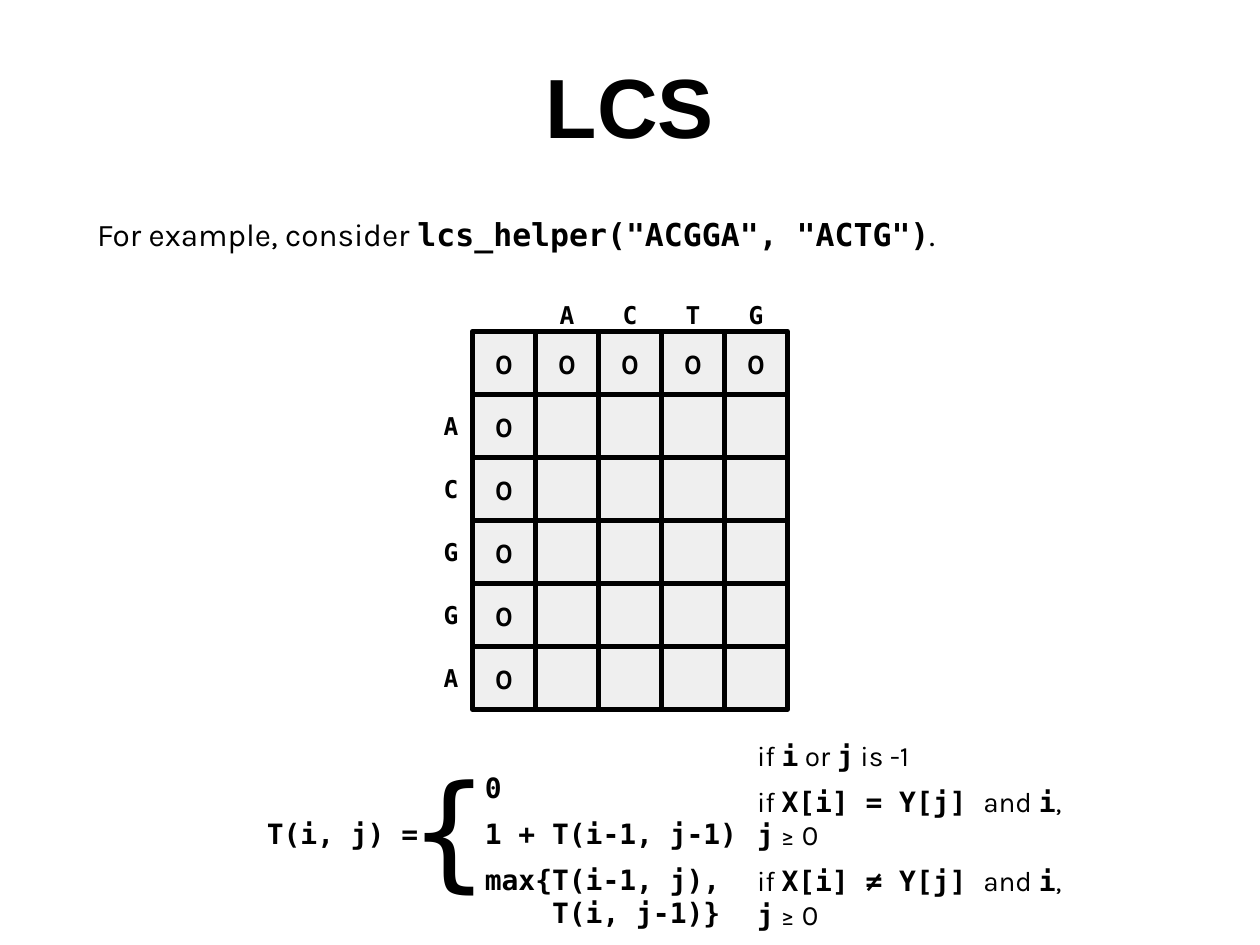
from pptx import Presentation
from pptx.dml.color import RGBColor
from pptx.enum.shapes import MSO_SHAPE
from pptx.enum.text import MSO_ANCHOR, MSO_AUTO_SIZE, PP_ALIGN
from pptx.oxml.ns import qn
from pptx.util import Inches, Pt

BLACK = RGBColor(0x00, 0x00, 0x00)
CELL_GRAY = RGBColor(0xEF, 0xEF, 0xEF)
TITLE_FONT, TEXT_FONT, CODE_FONT = "Arial", "Karla", "DejaVu Sans Mono"

CELL = 0.5
LABEL_HEIGHT = 0.29
ROW_WORD, COLUMN_WORD = "ACGGA", "ACTG"
CODE_MARK = "`"  # text between two marks is set in the code font

RESULTS = ["`0", "`1 + T(i-1, j-1)", "`max{T(i-1, j),", "`    T(i, j-1)}"]
CONDITIONS = [
    "if `i` or `j` is -1",
    "if `X[i] = Y[j] `and `i`, `j` ≥ 0",
    "if `X[i] ≠ Y[j] `and `i`, `j` ≥ 0",
]


def place(shape, box):
    shape.left, shape.top, shape.width, shape.height = map(Inches, box)


def format_frame(frame, anchor, top_inset=0.1):
    frame.word_wrap = True
    frame.auto_size = MSO_AUTO_SIZE.NONE
    frame.vertical_anchor = anchor
    frame.margin_left = frame.margin_right = frame.margin_bottom = Inches(0.1)
    frame.margin_top = Inches(top_inset)


def format_font(font, name, size, bold):
    font.name, font.size, font.bold = name, Pt(size), bold
    font.color.rgb = BLACK


def write_mixed(para, text, size):
    """Fill a paragraph with alternating plain and code spans."""
    for number, part in enumerate(text.split(CODE_MARK)):
        if part:
            span = para.add_run()
            span.text = part
            is_code = number % 2 == 1
            format_font(span.font, CODE_FONT if is_code else TEXT_FONT, size, is_code)


def write_centred(shape, text, font_name, size):
    format_frame(shape.text_frame, MSO_ANCHOR.MIDDLE)
    para = shape.text_frame.paragraphs[0]
    para.text = text
    para.alignment = PP_ALIGN.CENTER
    format_font(para.runs[0].font, font_name, size, True)


def fill_title(title, box):
    place(title, box)
    write_centred(title, "LCS", TITLE_FONT, 48)
    format_frame(title.text_frame, MSO_ANCHOR.TOP, 0.17)


def fill_body(body, box):
    place(body, box)
    format_frame(body.text_frame, MSO_ANCHOR.TOP, 0.13)
    para = body.text_frame.paragraphs[0]
    properties = para._p.get_or_add_pPr()
    properties.set("marL", "0")
    properties.set("indent", "0")
    properties.append(properties.makeelement(qn("a:buNone"), {}))
    para.space_before = Pt(0)
    write_mixed(para, 'For example, consider `lcs_helper("ACGGA", "ACTG")`.', 18)


def add_lines(page, box, lines, size=16, joined=()):
    """Add a text box; lines numbered in joined follow without a gap."""
    shape = page.shapes.add_textbox(*map(Inches, box))
    frame = shape.text_frame
    format_frame(frame, MSO_ANCHOR.MIDDLE)
    for number, line in enumerate(lines):
        para = frame.add_paragraph() if number else frame.paragraphs[0]
        if number and number not in joined:
            para.space_before = Pt(7)
        write_mixed(para, line, size)
    return shape


def add_cell(page, left, top, text):
    cell = page.shapes.add_shape(
        MSO_SHAPE.RECTANGLE, *map(Inches, (left, top, CELL, CELL)))
    cell.shadow.inherit = False
    cell.fill.solid()
    cell.fill.fore_color.rgb = CELL_GRAY
    cell.line.color.rgb = BLACK
    cell.line.width = Pt(3)
    if text:
        write_centred(cell, text, TEXT_FONT, 16)


def add_label(page, left, top, letter):
    label = page.shapes.add_textbox(*map(Inches, (left, top, CELL, LABEL_HEIGHT)))
    write_centred(label, letter, CODE_FONT, 14)


def add_grid(page, left, top):
    """Draw the table of subproblems with its letters above and at the left."""
    for row in range(len(ROW_WORD) + 1):
        for column in range(len(COLUMN_WORD) + 1):
            is_base_case = row == 0 or column == 0
            add_cell(page, left + column * CELL, top + row * CELL,
                     "0" if is_base_case else "")
    for column, letter in enumerate(COLUMN_WORD, start=1):
        add_label(page, left + column * CELL, top - 0.28, letter)
    inset = (CELL - LABEL_HEIGHT) / 2
    for row, letter in enumerate(ROW_WORD, start=1):
        add_label(page, left - 0.42, top + row * CELL + inset, letter)


def add_recurrence(page, left, top):
    """Write the recurrence: name, brace, results and conditions."""
    brace = add_lines(page, (left + 1.15, top, 0.66, 1.25), ["{"], size=72)
    brace.text_frame.paragraphs[0].runs[0].font.name = CODE_FONT
    add_lines(page, (left, top + 0.44, 2.5, 0.5), ["`T(i, j) ="])
    add_lines(page, (left + 1.73, top + 0.12, 3.28, 1.41), RESULTS, joined=(3,))
    add_lines(page, (left + 3.89, top, 2.69, 1.41), CONDITIONS)


def main():
    deck = Presentation()
    deck.slide_width, deck.slide_height = Inches(10), Inches(7.5)
    page = deck.slides.add_slide(deck.slide_layouts[1])
    fill_title(page.shapes.title, (0, 0.26, 10, 1.25))
    fill_body(page.placeholders[1], (0.67, 1.58, 8.67, 5.92))
    add_recurrence(page, 2.02, 5.92)
    add_grid(page, 3.75, 2.63)
    deck.save("out.pptx")


if __name__ == "__main__":
    main()
